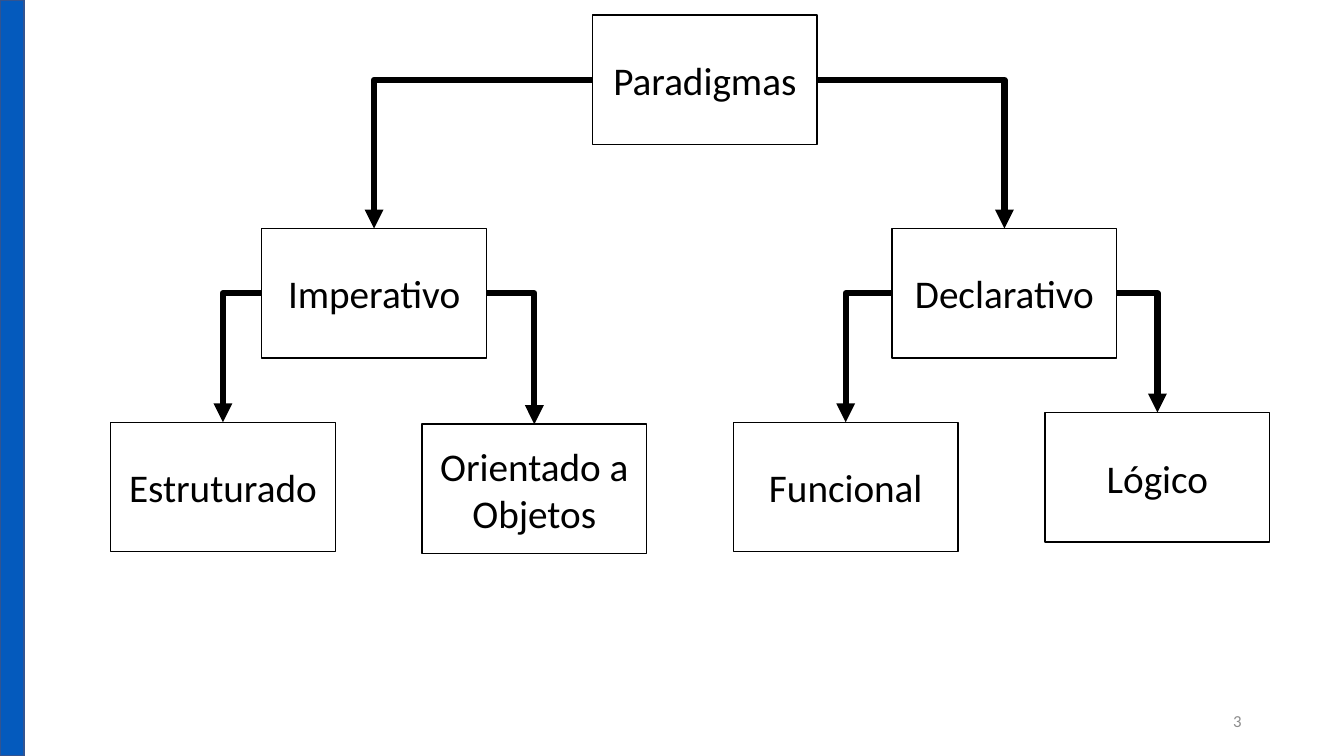
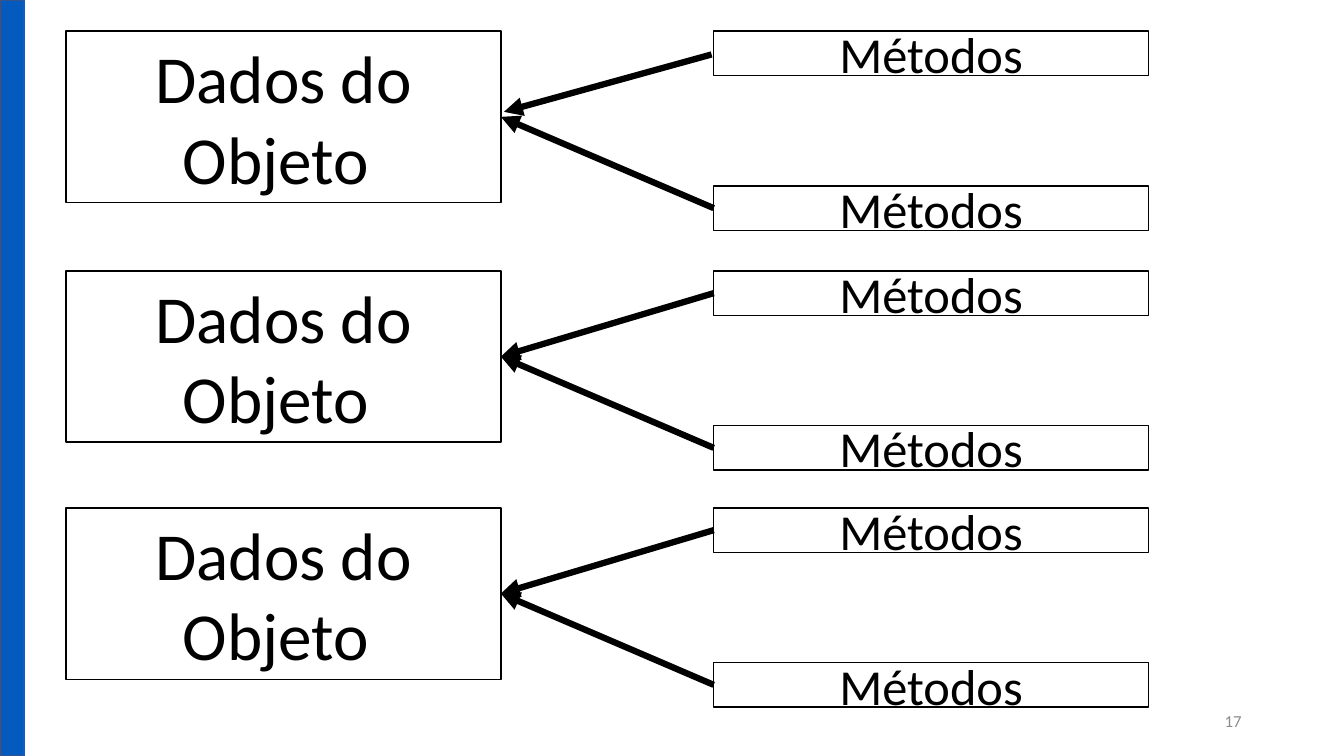
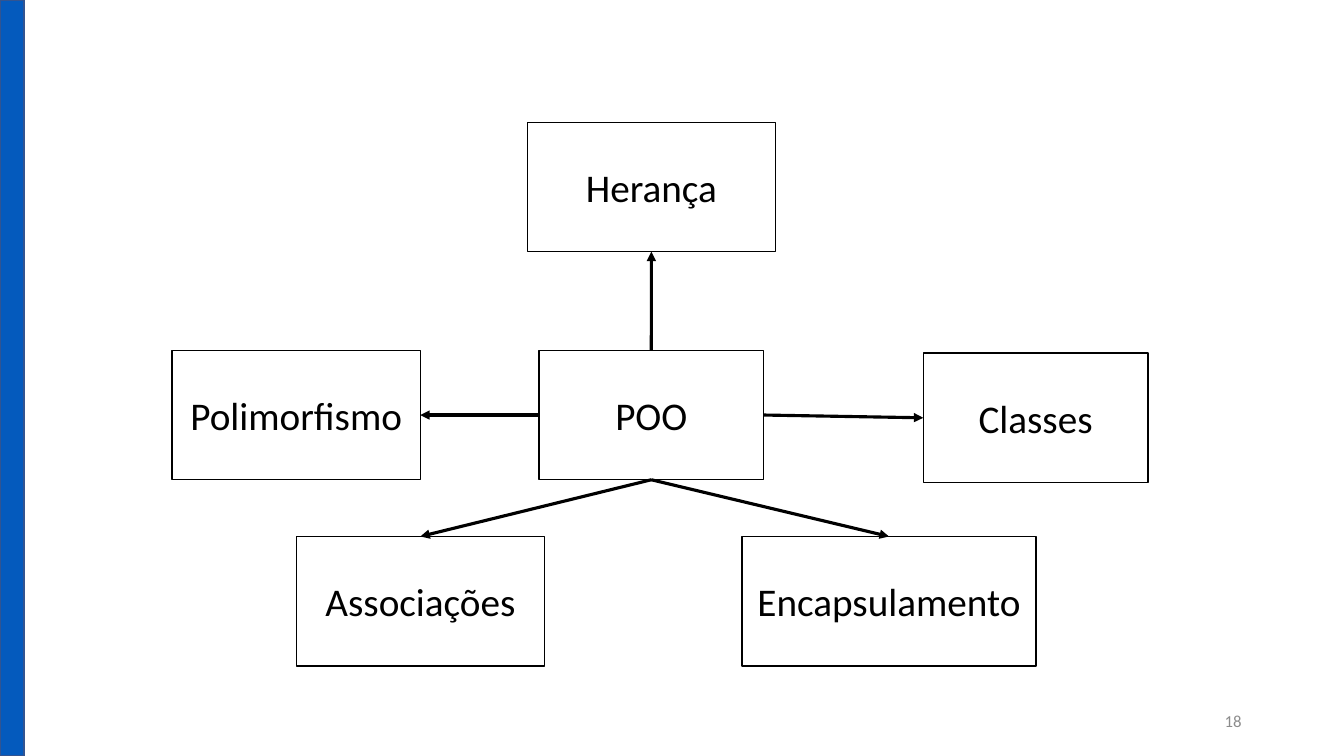
import lxml.etree
import pptx
import pptx.dml.color
import pptx.enum.shapes
import pptx.enum.text
import pptx.oxml.ns
import pptx.util

Pt = pptx.util.Pt
qn = pptx.oxml.ns.qn
ALIGN = pptx.enum.text.PP_ALIGN
KIND = pptx.enum.shapes.MSO_CONNECTOR
TOP, LEFT, BASE, RIGHT = range(4)


def hue(code):
    """Turn a hex string into a colour."""
    return pptx.dml.color.RGBColor.from_string(code)


def write(frame, text, size=28, ink="000000", align=ALIGN.CENTER):
    """Put formatted text in the middle of a frame."""
    frame.word_wrap = True
    frame.vertical_anchor = pptx.enum.text.MSO_ANCHOR.MIDDLE
    part = frame.paragraphs[0]
    part.alignment = align
    run = part.add_run()
    run.text = text
    run.font.name = "Calibri"
    run.font.size = Pt(size)
    run.font.color.rgb = hue(ink)


def site(box, edge):
    """Give the middle of one edge of a box in points."""
    across, down = {TOP: (0.5, 0), LEFT: (0, 0.5), BASE: (0.5, 1), RIGHT: (1, 0.5)}[edge]
    return (box.left + box.width * across) / Pt(1), (box.top + box.height * down) / Pt(1)


class Deck:
    """Hold the style and the current slide."""

    wide, high = 960, 540
    blue, rim, black, grey = "045ABD", "325491", "000000", "8C8C8C"

    def __init__(self):
        """Start an empty wide deck."""
        self.show = pptx.Presentation()
        self.show.slide_width = Pt(self.wide)
        self.show.slide_height = Pt(self.high)

    def page(self, number):
        """Add a slide with its side band and number."""
        self.slide = self.show.slides.add_slide(self.show.slide_layouts[6])
        self.rect(0, 0, 17.3, self.high, fill=self.blue, edge=self.rim)
        note = self.slide.shapes.add_textbox(Pt(678), Pt(500.5), Pt(216), Pt(28.8))
        write(note.text_frame, str(number), size=12, ink=self.grey, align=ALIGN.RIGHT)

    def rect(self, left, top, wide, high, fill=None, edge=black):
        """Add a plain rectangle."""
        form = self.slide.shapes.add_shape(
            pptx.enum.shapes.MSO_SHAPE.RECTANGLE, Pt(left), Pt(top), Pt(wide), Pt(high))
        form.shadow.inherit = False
        if fill:
            form.fill.solid()
            form.fill.fore_color.rgb = hue(fill)
        else:
            form.fill.background()
        form.line.color.rgb = hue(edge)
        form.line.width = Pt(1)
        return form

    def box(self, text, left, top, wide=160.5, high=92.5, fill=None, size=28):
        """Add a framed label."""
        form = self.rect(left, top, wide, high, fill=fill)
        write(form.text_frame, text, size=size)
        return form

    def arrow(self, start, end, weight=4.5, bent=False):
        """Draw an arrow between two points."""
        kind = KIND.ELBOW if bent else KIND.STRAIGHT
        line = self.slide.shapes.add_connector(kind, *map(Pt, start + end))
        line.line.color.rgb = hue(self.black)
        line.line.width = Pt(weight)
        props = line.element.spPr
        if bent:
            props.find(qn("a:prstGeom")).set("prst", "bentConnector2")
        lxml.etree.SubElement(props.find(qn("a:ln")), qn("a:tailEnd"), type="triangle")
        lxml.etree.SubElement(props, qn("a:effectLst"))
        return line

    def link(self, first, leave, last, reach, **style):
        """Tie two boxes together with an arrow."""
        line = self.arrow(site(first, leave), site(last, reach), **style)
        line.begin_connect(first, leave)
        line.end_connect(last, reach)


def tree(deck):
    """Draw the tree of paradigms."""
    deck.page(3)
    root = deck.box("Paradigmas", 423.2, 10.8)
    order = deck.box("Imperativo", 187, 163.2)
    steps = deck.box("Estruturado", 79, 301.6)
    things = deck.box("Orientado a Objetos", 301.4, 303)
    facts = deck.box("Declarativo", 637.2, 163.2)
    maps = deck.box("Funcional", 523.9, 301.6)
    logic = deck.box("Lógico", 746.5, 294.7)
    for head, left, right in ((root, order, facts), (order, steps, things), (facts, maps, logic)):
        deck.link(head, LEFT, left, TOP, bent=True)
        deck.link(head, RIGHT, right, TOP, bent=True)


def shield(deck):
    """Draw object data reached through methods."""
    deck.page(17)
    white = "FFFFFF"
    for row, top in enumerate((22.3, 193.5, 362.8)):
        data = deck.box("Dados do Objeto ", 47.3, top, 310.5, 122.4, fill=white, size=48)
        upper, lower = [
            deck.box("Métodos", 509.8, top + drop, 310.5, 31.8, fill=white, size=36)
            for drop in (0, 110.5)]
        if row == 0:
            deck.arrow((508.3, 38.9), (360, 79.9))
        else:
            deck.link(upper, LEFT, data, RIGHT)
        deck.link(lower, LEFT, data, RIGHT)


def star(deck):
    """Draw the ideas around POO."""
    deck.page(18)
    core = deck.box("POO", 385, 250.2)
    spokes = (
        (LEFT, RIGHT, "Polimorfismo", 123, 250.2, 177.2),
        (BASE, TOP, "Associações", 211.7, 383.2, 177.2),
        (BASE, TOP, "Encapsulamento", 530, 383.2, 210),
        (RIGHT, LEFT, "Classes", 659.5, 252.2, 160.5),
        (TOP, BASE, "Herança", 376.7, 87.3, 177.2))
    for leave, reach, text, left, top, wide in spokes:
        deck.link(core, leave, deck.box(text, left, top, wide), reach, weight=2.25)


def main():
    """Build and save the deck."""
    deck = Deck()
    tree(deck)
    shield(deck)
    star(deck)
    deck.show.save("out.pptx")


if __name__ == "__main__":
    main()
